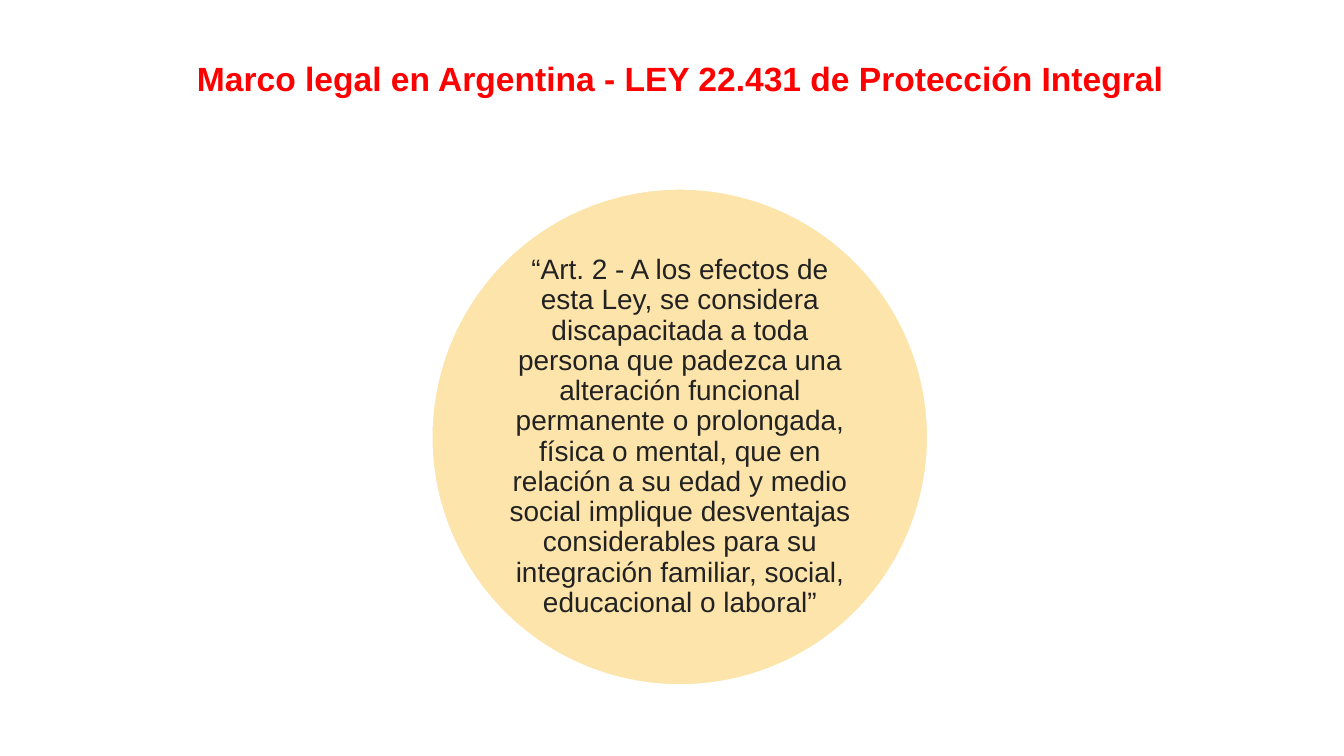
"""Builds the slide on Argentina's Law 22.431 and its definition of disability."""
from lxml.etree import SubElement
from pptx import Presentation
from pptx.dml.color import RGBColor
from pptx.enum.shapes import MSO_SHAPE
from pptx.enum.text import MSO_ANCHOR, PP_ALIGN
from pptx.oxml.ns import qn
from pptx.util import Inches, Pt

RED = RGBColor(0xFF, 0x00, 0x00)
AMBER = RGBColor(0xFD, 0xCB, 0x56)
WHITE = RGBColor(0xFF, 0xFF, 0xFF)
INK = RGBColor(0x22, 0x22, 0x22)

HEADING = "Marco legal en Argentina - LEY 22.431 de Protección Integral"
ARTICLE = (
    "“Art. 2 - A los efectos de esta Ley, se considera discapacitada a toda "
    "persona que padezca una alteración funcional permanente o prolongada, "
    "física o mental, que en relación a su edad y medio social implique "
    "desventajas considerables para su integración familiar, social, "
    "educacional o laboral”"
)


def write(frame, text, size, color, bold=False):
    frame.word_wrap = True
    paragraph = frame.paragraphs[0]
    run = paragraph.add_run()
    run.text = text
    run.font.name = "Arial"
    run.font.size = Pt(size)
    run.font.bold = bold
    run.font.color.rgb = color
    return paragraph


deck = Presentation()
deck.slide_width = Inches(26.67)
deck.slide_height = Inches(15)
width, height = deck.slide_width, deck.slide_height
slide = deck.slides.add_slide(deck.slide_layouts[6])

diameter = Inches(9.84)
left = int(width * 0.3213)
top = height // 4
circle = slide.shapes.add_shape(MSO_SHAPE.OVAL, left, top, diameter, diameter)
circle.shadow.inherit = False
circle.fill.solid()
circle.fill.fore_color.rgb = AMBER
tint = circle.fill._xPr.find(qn("a:solidFill")).find(qn("a:srgbClr"))
SubElement(tint, qn("a:alpha")).set("val", "50000")
circle.line.color.rgb = WHITE
circle.line.width = Pt(2)

side = int(diameter / 2 ** 0.5)
margin = (diameter - side) // 2
article = slide.shapes.add_textbox(left + margin, top + margin, side, side).text_frame
article.margin_left = article.margin_right = 0
article.margin_top = article.margin_bottom = 0
article.vertical_anchor = MSO_ANCHOR.MIDDLE
definition = write(article, ARTICLE, 40, INK)
definition.alignment = PP_ALIGN.CENTER
definition.line_spacing = 0.9

heading = slide.shapes.add_textbox(width // 7, Inches(1.09), Inches(20.19), Inches(0.91))
write(heading.text_frame, HEADING, 48, RED, bold=True)

deck.save("out.pptx")
